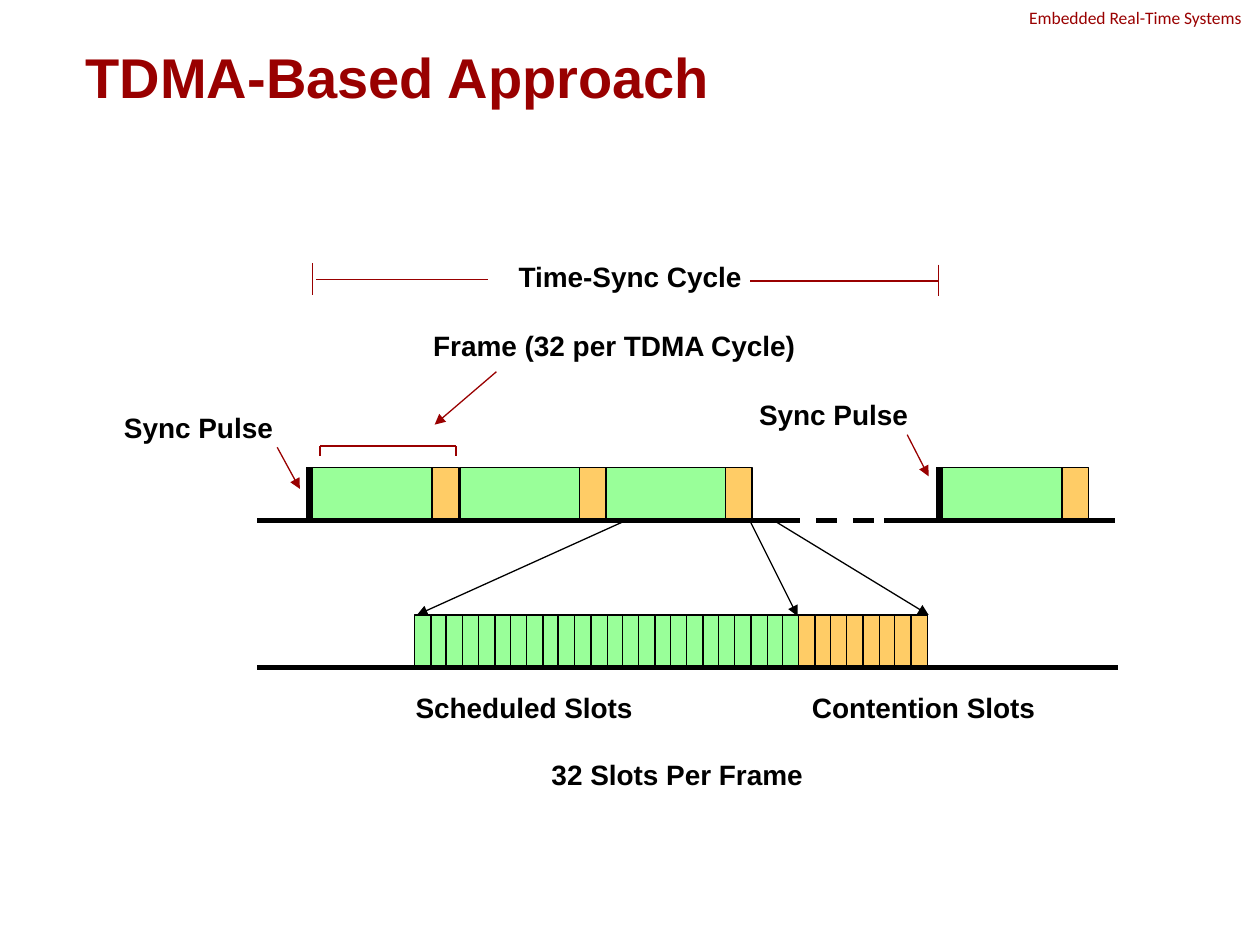
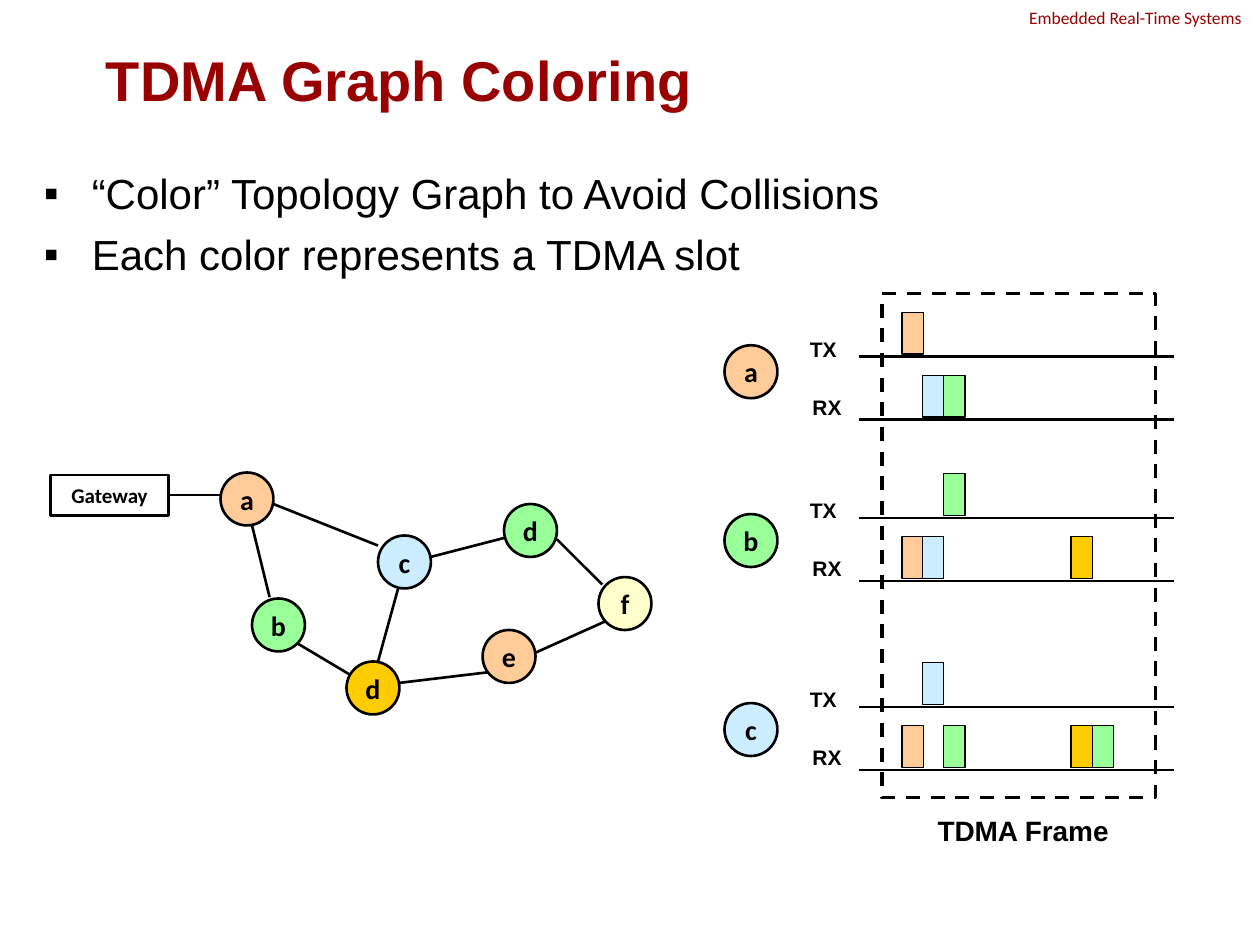
from dataclasses import dataclass
from typing import Any, NamedTuple

from lxml import etree
from pptx import Presentation
from pptx.dml.color import RGBColor
from pptx.enum import dml, shapes, text
from pptx.oxml import ns
from pptx.util import Emu, Pt

PX = 9144


@dataclass(frozen=True)
class Theme:
    accent: str = "990000"
    ink: str = "000000"
    paper: str = "FFFFFF"
    green: str = "99FF99"
    amber: str = "FFCC66"
    peach: str = "FFCC99"
    sky: str = "CCECFF"
    gold: str = "FFCC00"
    cream: str = "FFFFCC"
    sans: str = "Arial"
    humanist: str = "Calibri"
    title: int = 32
    body: int = 24
    label: int = 16
    small: int = 12
    header: int = 10
    thin: float = 0.75
    medium: float = 1.5
    dashed: float = 2
    thick: float = 3


T = Theme()


class Box(NamedTuple):
    x: int
    y: int
    w: int
    h: int


class Style(NamedTuple):
    size: int
    font: str = T.sans
    color: str = T.ink
    bold: bool = True


class Line(NamedTuple):
    x1: int
    y1: int
    x2: int
    y2: int
    color: str = T.ink
    width: float = T.thin
    arrow: bool = False
    dash: bool = False


class Label(NamedTuple):
    words: str
    box: Box
    style: Style = Style(T.label)
    align: Any = text.PP_ALIGN.CENTER


class Node(NamedTuple):
    name: str
    x: int
    y: int
    color: str


class Timeline(NamedTuple):
    node: Node
    y: int
    sent: tuple[str, ...]
    received: tuple[str, ...]


TITLE = Style(T.title, color=T.accent)
BODY = Style(T.body, bold=False)
HEADER = Style(T.header, T.humanist, T.accent, False)
NODE = Style(T.label, T.humanist)
GATEWAY = Style(T.small, T.humanist)
CHANNEL = Style(T.small)


def emu(*lengths: int) -> list[Emu]:
    return [Emu(n * PX) for n in lengths]


def assign(obj: Any, values: dict[str, Any]) -> None:
    for name, value in values.items():
        setattr(obj, name, value)


def write(p: Any, words: str, style: Style, align: Any) -> None:
    p.alignment = align
    r = p.add_run()
    r.text = words
    assign(r.font, {"size": Pt(style.size), "name": style.font, "bold": style.bold})
    r.font.color.rgb = RGBColor.from_string(style.color)


def add_label(s: Any, label: Label) -> Any:
    sp = s.shapes.add_textbox(*emu(*label.box))
    sp.text_frame.word_wrap = True
    write(sp.text_frame.paragraphs[0], label.words, label.style, label.align)
    return sp


def add_shape(s: Any, box: Box, fill: str | None, width: float = T.thin,
              kind: Any = shapes.MSO_SHAPE.RECTANGLE) -> Any:
    sp = s.shapes.add_shape(kind, *emu(*box))
    sp.shadow.inherit = False
    if fill:
        sp.fill.solid()
        sp.fill.fore_color.rgb = RGBColor.from_string(fill)
    else:
        sp.fill.background()
    sp.line.color.rgb = RGBColor.from_string(T.ink)
    sp.line.width = Pt(width)
    return sp


def add_named(s: Any, name: str, box: Box, fill: str, style: Style, kind: Any) -> Any:
    sp = add_shape(s, box, fill, T.medium, kind)
    tf = sp.text_frame
    assign(tf, {"word_wrap": False, "vertical_anchor": text.MSO_ANCHOR.MIDDLE})
    write(tf.paragraphs[0], name, style, text.PP_ALIGN.CENTER)
    return sp


def add_node(s: Any, node: Node) -> Any:
    box = Box(node.x, node.y, 42, 42)
    return add_named(s, node.name, box, node.color, NODE, shapes.MSO_SHAPE.OVAL)


def add_line(s: Any, line: Line) -> Any:
    c = s.shapes.add_connector(shapes.MSO_CONNECTOR.STRAIGHT, *emu(*line[:4]))
    c.line.color.rgb = RGBColor.from_string(line.color)
    c.line.width = Pt(line.width)
    if line.dash:
        c.line.dash_style = dml.MSO_LINE.DASH
    spPr = c.element.spPr
    if line.arrow:
        etree.SubElement(spPr.find(ns.qn("a:ln")), ns.qn("a:tailEnd"), type="triangle")
    etree.SubElement(spPr, ns.qn("a:effectLst"))
    return c


def add_titled_slide(prs: Any, title: str, box: Box) -> Any:
    s = prs.slides.add_slide(prs.slide_layouts[5])
    sp = s.shapes.title
    assign(sp, dict(zip(("left", "top", "width", "height"), emu(*box))))
    tf = sp.text_frame
    assign(tf, {"word_wrap": True, "auto_size": text.MSO_AUTO_SIZE.NONE,
                "vertical_anchor": text.MSO_ANCHOR.MIDDLE})
    write(tf.paragraphs[0], title, TITLE, text.PP_ALIGN.LEFT)
    return s


def add_master_header(prs: Any, s: Any) -> None:
    sp = add_label(s, Label("Embedded Real-Time Systems", Box(807, 1, 193, 27), HEADER,
                            text.PP_ALIGN.LEFT))
    prs.slide_master.shapes.element.append(sp.element)


def add_bullets(s: Any, box: Box, items: list[str]) -> None:
    tf = s.shapes.add_textbox(*emu(*box)).text_frame
    tf.word_wrap = True
    for i, item in enumerate(items):
        p = tf.add_paragraph() if i else tf.paragraphs[0]
        pPr = p._p.get_or_add_pPr()
        assign_indent = {"marL": 38 * PX, "indent": -38 * PX}
        for name, value in assign_indent.items():
            pPr.set(name, str(value))
        if i:
            p.space_before = Pt(6)
        etree.SubElement(pPr, ns.qn("a:buFont"), typeface=T.sans)
        etree.SubElement(pPr, ns.qn("a:buChar"), char="▪")
        write(p, item, BODY, text.PP_ALIGN.LEFT)


def build_approach(prs: Any) -> None:
    s = add_titled_slide(prs, "TDMA-Based Approach", Box(58, 0, 781, 121))
    add_master_header(prs, s)

    for pulse_x in (243, 743):
        add_shape(s, Box(pulse_x, 371, 8, 42), T.ink)
    for frame_x in (248, 365, 481, 748):
        add_shape(s, Box(frame_x, 371, 95, 42), T.green)
        add_shape(s, Box(frame_x + 95, 371, 21, 42), T.amber)

    slots, scheduled = 32, 24
    for i in range(slots):
        x = 329 + round(i * 394 / (slots - 1))
        add_shape(s, Box(x, 488, 13, 42), T.green if i < scheduled else T.amber)

    axes = [
        Line(702, 413, 885, 413, width=T.thick),
        Line(560, 413, 743, 413, width=T.thick, dash=True),
        Line(204, 413, 635, 413, width=T.thick),
        Line(204, 530, 887, 530, width=T.thick),
    ]
    zoom = [
        Line(497, 413, 331, 488, arrow=True),
        Line(595, 413, 633, 489, arrow=True),
        Line(614, 413, 737, 488, arrow=True),
    ]
    cycle_span = [(248, 209, 248, 234), (745, 210, 745, 235),
                  (745, 223, 595, 223), (387, 222, 251, 222)]
    frame_bracket = [(254, 354, 362, 354), (254, 354, 254, 362), (362, 354, 362, 362)]
    pointers = [(220, 355, 238, 388), (394, 295, 345, 337), (720, 345, 737, 378)]
    marks = [Line(*ends, T.accent) for ends in cycle_span + frame_bracket]
    marks += [Line(*ends, T.accent, arrow=True) for ends in pointers]
    for line in axes + zoom + marks:
        add_line(s, line)

    for label in (
        Label("Time-Sync Cycle", Box(254, 201, 492, 37)),
        Label("Frame (32 per TDMA Cycle)", Box(304, 256, 367, 37)),
        Label("Sync Pulse", Box(70, 321, 175, 37)),
        Label("Sync Pulse", Box(574, 311, 175, 37)),
        Label("Scheduled Slots", Box(295, 543, 242, 37)),
        Label("Contention Slots", Box(612, 543, 242, 37)),
        Label("32 Slots Per Frame", Box(354, 596, 367, 37)),
    ):
        add_label(s, label)


def add_topology(s: Any) -> None:
    for ends in (
        (200, 417, 214, 474), (217, 400, 300, 433), (235, 510, 277, 535),
        (300, 525, 316, 467), (317, 542, 392, 533), (342, 442, 400, 427),
        (442, 428, 478, 464), (425, 518, 483, 492),
    ):
        add_line(s, Line(*ends, width=T.medium))
    gateway = add_named(s, "Gateway", Box(40, 377, 94, 32), T.paper, GATEWAY,
                        shapes.MSO_SHAPE.RECTANGLE)
    link = add_line(s, Line(134, 393, 175, 393, width=T.medium))
    link.begin_connect(gateway, 3)
    for node in (
        Node("a", 175, 375, T.peach), Node("b", 200, 475, T.green),
        Node("d", 275, 525, T.gold), Node("c", 300, 425, T.sky),
        Node("d", 400, 400, T.green), Node("e", 383, 500, T.peach),
        Node("f", 475, 458, T.cream),
    ):
        add_node(s, node)


def add_schedule(s: Any) -> None:
    slots = {"a": (716, T.peach), "c": (732, T.sky), "b": (749, T.green),
             "d gold": (850, T.gold), "d green": (867, T.green)}
    for row in (
        Timeline(Node("a", 575, 274, T.peach), 283, ("a",), ("c", "b")),
        Timeline(Node("b", 575, 408, T.green), 411, ("b",), ("a", "c", "d gold")),
        Timeline(Node("c", 575, 558, T.sky), 561, ("c",),
                 ("a", "b", "d gold", "d green")),
    ):
        add_node(s, row.node)
        for name, x, y, label_y, used in (
            ("TX", 633, row.y, row.y - 21, row.sent),
            ("RX", 635, row.y + 50, row.y + 25, row.received),
        ):
            add_line(s, Line(682, y, 932, y, width=T.medium))
            add_label(s, Label(name, Box(x, label_y, 50, 30), CHANNEL, text.PP_ALIGN.LEFT))
            for key in used:
                slot_x, color = slots[key]
                add_shape(s, Box(slot_x, y - 35, 17, 33), color)
    frame = add_shape(s, Box(700, 233, 217, 400), None, T.dashed)
    frame.line.dash_style = dml.MSO_LINE.DASH
    add_label(s, Label("TDMA Frame", Box(708, 641, 208, 37)))


def build_coloring(prs: Any) -> None:
    s = add_titled_slide(prs, "TDMA Graph Coloring", Box(74, 0, 850, 125))
    add_bullets(s, Box(25, 128, 958, 157), [
        "“Color” Topology Graph to Avoid Collisions",
        "Each color represents a TDMA slot",
    ])
    add_topology(s)
    add_schedule(s)


def main() -> None:
    prs = Presentation()
    assign(prs, dict(zip(("slide_width", "slide_height"), emu(1000, 750))))
    build_approach(prs)
    build_coloring(prs)
    prs.save("out.pptx")


if __name__ == "__main__":
    main()
